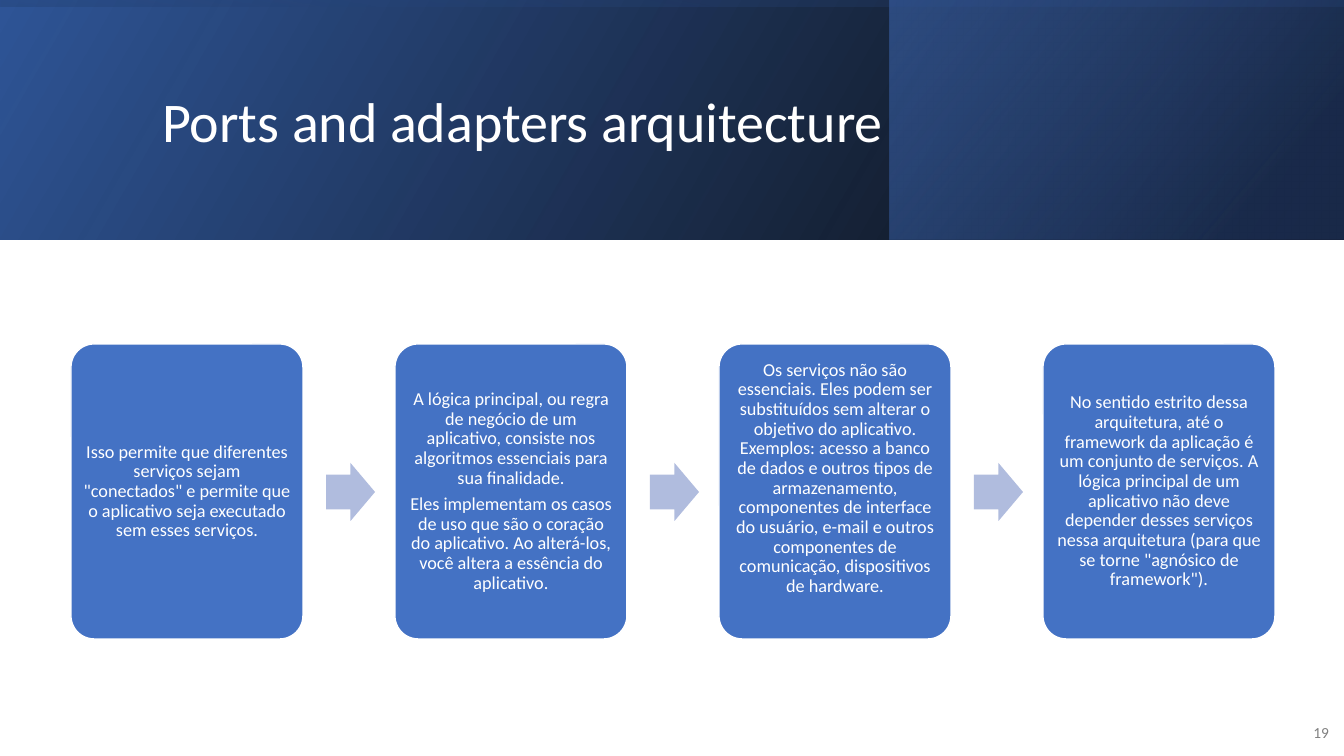
"""Build the ports and adapters slide: a gradient banner above a chain of four cards."""
from dataclasses import dataclass

from lxml.etree import SubElement as Sub
from pptx import Presentation
from pptx.dml.color import RGBColor as Rgb
from pptx.enum.shapes import MSO_SHAPE as Kind
from pptx.enum.text import MSO_ANCHOR as Anchor, MSO_AUTO_SIZE as Fit, PP_ALIGN as Align
from pptx.oxml.ns import qn
from pptx.shapes.autoshape import Shape
from pptx.slide import Slide
from pptx.text.text import TextFrame as Frame
from pptx.util import Emu, Pt

SCALE = 12192000 / 1344


@dataclass(frozen=True)
class Theme:
    font: str = "Calibri"
    white: str = "FFFFFF"
    gray: str = "808080"
    card: str = "4472C4"
    arrow: str = "B0BCDE"
    black: str = "000000"
    blue: str = "2F5597"
    navy: str = "203864"
    title: float = 40
    body: float = 13
    small: float = 11
    gap: float = 4.5


@dataclass(frozen=True)
class Box:
    left: int
    top: int
    width: int
    height: int

    def emu(self) -> tuple[Emu, Emu, Emu, Emu]:
        return px(self.left), px(self.top), px(self.width), px(self.height)


@dataclass(frozen=True)
class Stop:
    pos: int
    color: str
    alpha: int


@dataclass(frozen=True)
class Band:
    box: Box
    angle: int
    stops: tuple[Stop, Stop]
    turn: int = 0


@dataclass(frozen=True)
class Card:
    texts: tuple[str, ...]
    foot: int = 5


def px(size: int) -> Emu:
    return Emu(round(size * SCALE))


THEME = Theme()
HEAD = 240
FIRST = Box(71, 344, 232, 295)
ARROW = Box(326, 463, 49, 58)
STEP = 324

BANDS = (
    Band(Box(0, 0, 1344, HEAD), 330, (Stop(0, THEME.black, 96), Stop(100, THEME.blue, 100))),
    Band(Box(890, 0, 453, HEAD), 320, (Stop(19, THEME.navy, 68), Stop(100, THEME.card, 48))),
    Band(Box(552, -552, HEAD, 1344), 350, (Stop(23, THEME.blue, 16), Stop(99, THEME.black, 45)), 270),
)

CARDS = (
    Card((
        'Isso permite que diferentes serviços sejam "conectados" e permite que o '
        "aplicativo seja executado sem esses serviços.",
    )),
    Card((
        "A lógica principal, ou regra de negócio de um aplicativo, consiste nos "
        "algoritmos essenciais para sua finalidade.",
        "Eles implementam os casos de uso que são o coração do aplicativo. "
        "Ao alterá-los, você altera a essência do aplicativo.",
    )),
    Card((
        "Os serviços não são essenciais. Eles podem ser substituídos sem alterar o "
        "objetivo do aplicativo. Exemplos: acesso a banco de dados e outros tipos de "
        "armazenamento, componentes de interface do usuário, e-mail e outros "
        "componentes de comunicação, dispositivos de hardware.",
    ), foot=31),
    Card((
        "No sentido estrito dessa arquitetura, até o framework da aplicação é um "
        "conjunto de serviços. A lógica principal de um aplicativo não deve depender "
        'desses serviços nessa arquitetura (para que se torne "agnósico de framework").',
    )),
)


def write(frame: Frame, texts: tuple[str, ...], size: float, color: str,
          align: Align, lead: float = 0.9, gap: float = 0) -> None:
    frame.word_wrap = True
    frame.auto_size = Fit.NONE
    frame.vertical_anchor = Anchor.MIDDLE
    for i, text in enumerate(texts):
        para = frame.add_paragraph() if i else frame.paragraphs[0]
        para.alignment = align
        para.line_spacing = lead
        para.space_before = Pt(0)
        para.space_after = Pt(gap)
        run = para.add_run()
        run.text = text
        run.font.name = THEME.font
        run.font.size = Pt(size)
        run.font.color.rgb = Rgb.from_string(color)


def add_form(slide: Slide, kind: Kind, box: Box, color: str) -> Shape:
    form = slide.shapes.add_shape(kind, *box.emu())
    form.shadow.inherit = False
    form.fill.solid()
    form.fill.fore_color.rgb = Rgb.from_string(color)
    form.line.fill.background()
    return form


def add_band(slide: Slide, band: Band) -> None:
    form = add_form(slide, Kind.RECTANGLE, band.box, THEME.blue)
    form.rotation = band.turn
    props = form.element.spPr
    props.find(qn("a:xfrm")).set("flipH", "1")
    solid = props.find(qn("a:solidFill"))
    grad = props.makeelement(qn("a:gradFill"), {"rotWithShape": "1"})
    props.replace(solid, grad)
    stops = Sub(grad, qn("a:gsLst"))
    for stop in band.stops:
        mark = Sub(stops, qn("a:gs"), pos=str(stop.pos * 1000))
        tint = Sub(mark, qn("a:srgbClr"), val=stop.color)
        Sub(tint, qn("a:alpha"), val=str(stop.alpha * 1000))
    Sub(grad, qn("a:lin"), ang=str(band.angle * 60000), scaled="0")


def add_title(slide: Slide, text: str, box: Box) -> None:
    title = slide.shapes.title
    title.left, title.top, title.width, title.height = box.emu()
    slide.shapes.element.append(title.element)
    write(title.text_frame, (text,), THEME.title, THEME.white, Align.LEFT)


def add_card(slide: Slide, card: Card, box: Box) -> None:
    form = add_form(slide, Kind.ROUNDED_RECTANGLE, box, THEME.card)
    form.adjustments[0] = 0.1
    form.line.color.rgb = Rgb.from_string(THEME.white)
    form.line.width = Pt(1)
    frame = form.text_frame
    frame.margin_left = frame.margin_right = frame.margin_top = px(5)
    frame.margin_bottom = px(card.foot)
    write(frame, card.texts, THEME.body, THEME.white, Align.CENTER, gap=THEME.gap)


def add_arrow(slide: Slide, box: Box) -> None:
    form = add_form(slide, Kind.RIGHT_ARROW, box, THEME.arrow)
    form.adjustments[0] = 0.6
    form.adjustments[1] = 0.5


def shift(box: Box, count: int) -> Box:
    return Box(box.left + count * STEP, box.top, box.width, box.height)


def main() -> None:
    deck = Presentation()
    deck.slide_width, deck.slide_height = px(1344), px(756)
    slide = deck.slides.add_slide(deck.slide_layouts[5])
    for band in BANDS:
        add_band(slide, band)
    add_title(slide, "Ports and adapters arquitecture", Box(152, 38, 1072, 173))
    page = slide.shapes.add_textbox(*Box(1290, 712, 49, 40).emu())
    write(page.text_frame, ("19",), THEME.small, THEME.gray, Align.RIGHT, 1, 6)
    for i, card in enumerate(CARDS):
        if i:
            add_arrow(slide, shift(ARROW, i - 1))
        add_card(slide, card, shift(FIRST, i))
    deck.save("out.pptx")


if __name__ == "__main__":
    main()
